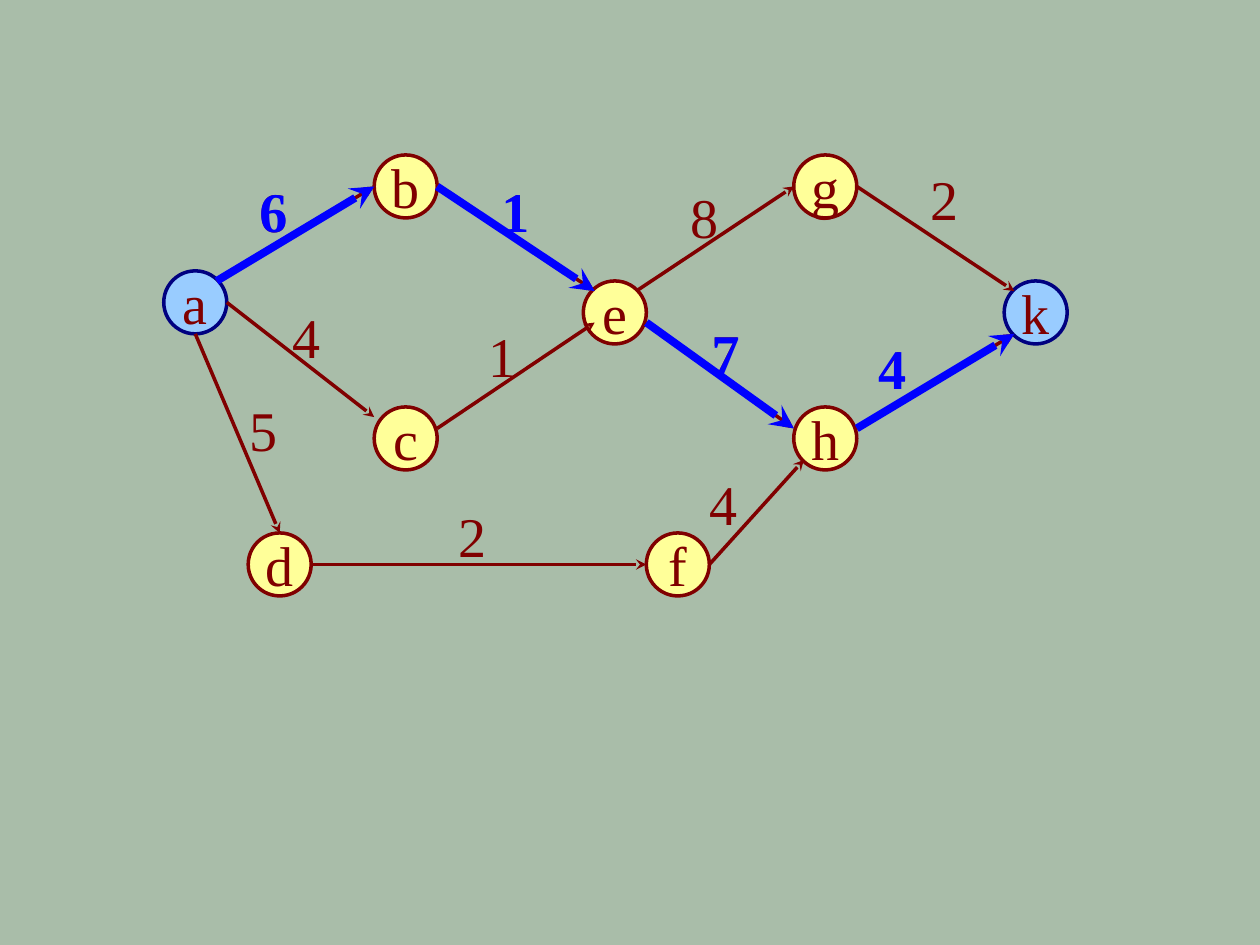
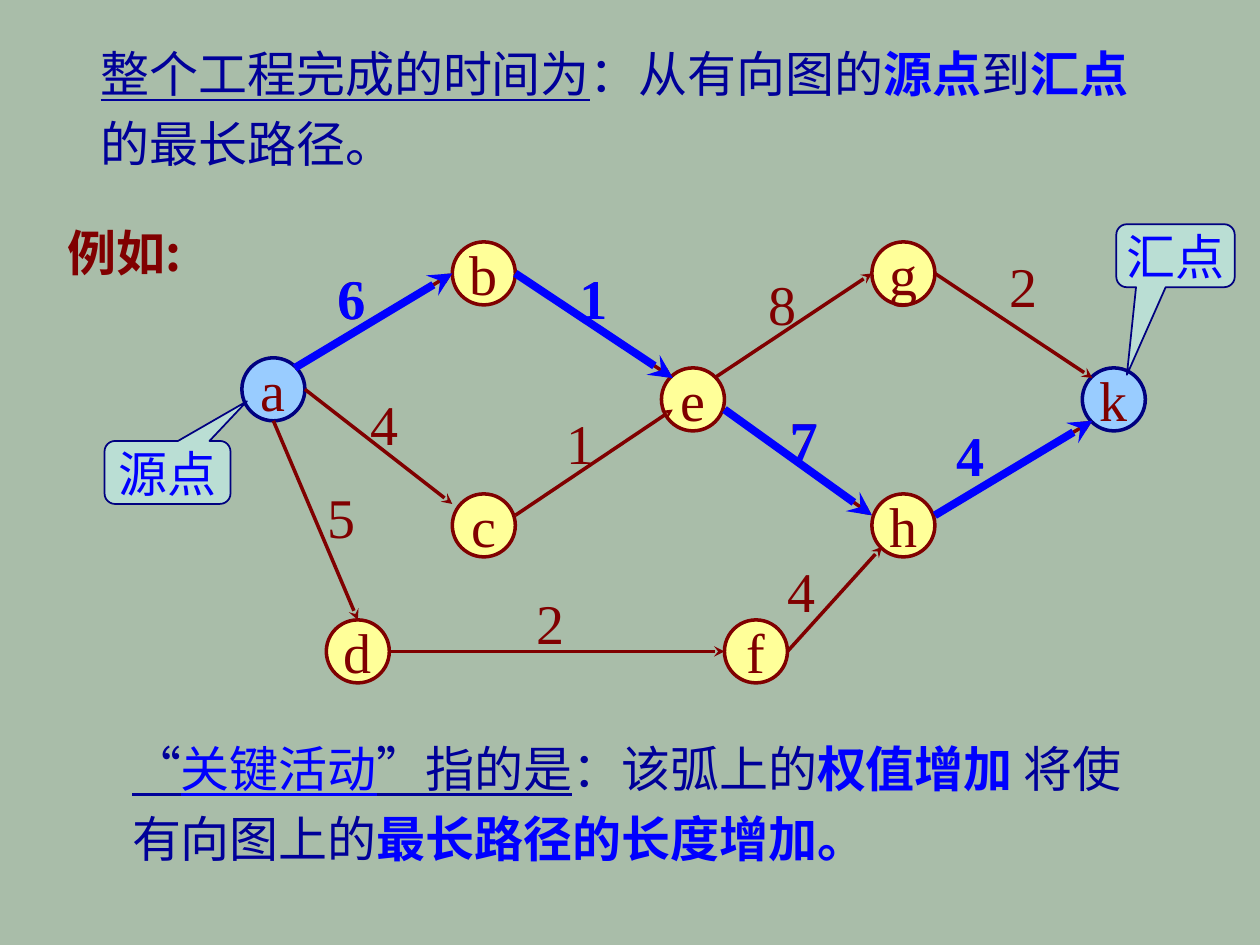
"""Build two slides about the critical path of an activity network."""
from typing import NamedTuple

from lxml import etree
from pptx import Presentation
from pptx.dml.color import RGBColor
from pptx.enum.shapes import MSO_CONNECTOR, MSO_SHAPE
from pptx.enum.text import MSO_ANCHOR, PP_ALIGN
from pptx.oxml.ns import qn
from pptx.util import Emu, Pt

PX = 9144
OVAL = MSO_SHAPE.OVAL
CALLOUT = MSO_SHAPE.ROUNDED_RECTANGULAR_CALLOUT
STRAIGHT = MSO_CONNECTOR.STRAIGHT
CENTER = PP_ALIGN.CENTER
MIDDLE, TOP = MSO_ANCHOR.MIDDLE, MSO_ANCHOR.TOP

COLORS = {
    "background": "A9BDA9",
    "maroon": "800000",
    "navy": "000080",
    "ink": "000099",
    "blue": "0000FF",
    "yellow": "FFFF99",
    "sky": "99CCFF",
    "callout": "CCFFFF",
}
SERIF = "Times New Roman"
CJK = "Noto Sans CJK SC"

NODE_SIZE = 50
NODES = {
    "a": (130, 215), "b": (297, 123), "c": (297, 323),
    "d": (197, 423), "e": (463, 223), "f": (513, 423),
    "g": (630, 123), "h": (630, 323), "k": (797, 223),
}
TERMINALS = "ak"


class Activity(NamedTuple):
    """Arrow ends, weight and label corner of one activity."""
    start: tuple
    end: tuple
    weight: str
    label: tuple
    critical: bool = False


ACTIVITIES = [
    Activity((172, 223), (297, 148), "6", (196, 135), True),
    Activity((180, 240), (297, 331), "4", (222, 235)),
    Activity((347, 340), (472, 256), "1", (378, 250)),
    Activity((347, 148), (472, 231), "1", (388, 135), True),
    Activity((505, 231), (630, 148), "8", (538, 140)),
    Activity((680, 148), (805, 231), "2", (729, 126)),
    Activity((680, 340), (805, 265), "4", (687, 260), True),
    Activity((513, 256), (630, 340), "7", (555, 248), True),
    Activity((155, 265), (222, 423), "5", (188, 309)),
    Activity((247, 448), (513, 448), "2", (354, 393)),
    Activity((563, 448), (638, 365), "4", (553, 368)),
]


def px(value):
    """Turn a length in px into EMU."""
    return Emu(value * PX)


def rgb(name):
    """Look up a named colour."""
    return RGBColor.from_string(COLORS[name])


def add_run(paragraph, text, size, color, bold=False, underline=False, font=SERIF):
    """Append one formatted run."""
    run = paragraph.add_run()
    run.text = text
    run.font.size = Pt(size)
    run.font.bold = bold
    run.font.underline = underline
    run.font.color.rgb = rgb(color)
    run.font.name = font
    latin = run.font._element.find(qn("a:latin"))
    east_asian = etree.Element(qn("a:ea"), typeface=CJK)
    latin.addnext(east_asian)


def add_text(slide, box, runs, size, wrap=False, line_spacing=None):
    """Add a text box whose runs are (text, colour, bold, underline, font)."""
    shape = slide.shapes.add_textbox(*map(px, box))
    frame = shape.text_frame
    frame.word_wrap = wrap
    frame.vertical_anchor = TOP
    paragraph = frame.paragraphs[0]
    if line_spacing:
        paragraph.line_spacing = Pt(line_spacing)
    for text, *style in runs:
        add_run(paragraph, text, size, *style)


def add_labelled_shape(slide, kind, box, text, size, fill, line, width, color):
    """Add a filled and outlined shape with a centred label."""
    shape = slide.shapes.add_shape(kind, *map(px, box))
    shape.shadow.inherit = False
    shape.fill.solid()
    shape.fill.fore_color.rgb = rgb(fill)
    shape.line.color.rgb = rgb(line)
    shape.line.width = Pt(width)
    frame = shape.text_frame
    frame.word_wrap = False
    frame.vertical_anchor = MIDDLE
    paragraph = frame.paragraphs[0]
    paragraph.alignment = CENTER
    add_run(paragraph, text, size, color)
    return shape


def add_callout(slide, box, text, pointer):
    """Add a half-transparent callout pointing at a node."""
    shape = add_labelled_shape(slide, CALLOUT, box, text, 28,
                               "callout", "navy", 1, "blue")
    for index, value in enumerate((*pointer, 0.167)):
        shape.adjustments[index] = value
    fill_color = shape._element.spPr.find(qn("a:solidFill"))[0]
    etree.SubElement(fill_color, qn("a:alpha"), val="50000")


def add_arrow(slide, start, end, color, width):
    """Add a straight arrow with a stealth head."""
    connector = slide.shapes.add_connector(STRAIGHT, *map(px, (*start, *end)))
    connector.line.color.rgb = rgb(color)
    connector.line.width = Pt(width)
    etree.SubElement(connector.line._get_or_add_ln(), qn("a:tailEnd"), type="stealth")
    etree.SubElement(connector._element.spPr, qn("a:effectLst"))


def add_activities(slide, activities, shift, color, width, bold):
    """Draw arrows and then their weights."""
    def moved(point):
        return tuple(a + b for a, b in zip(point, shift))

    for activity in activities:
        add_arrow(slide, moved(activity.start), moved(activity.end), color, width)
    for activity in activities:
        add_text(slide, (*moved(activity.label), 42, 63),
                 [(activity.weight, color, bold)], 32)


def add_network(slide, shift=(0, 0)):
    """Draw the nodes, all activities and the critical path on top."""
    for name, (left, top) in NODES.items():
        fill, line = ("sky", "navy") if name in TERMINALS else ("yellow", "maroon")
        box = (left + shift[0], top + shift[1], NODE_SIZE, NODE_SIZE)
        add_labelled_shape(slide, OVAL, box, name, 32, fill, line, 2, "maroon")
    add_activities(slide, ACTIVITIES, shift, "maroon", 2, False)
    critical = [activity for activity in ACTIVITIES if activity.critical]
    add_activities(slide, critical, shift, "blue", 4.5, True)


def add_explanation(slide):
    """Add the definitions and callouts around the network."""
    add_text(slide, (44, 170, 118, 57),
             [("例如:", "maroon", True, False, CJK)], 28, line_spacing=35)
    add_text(slide, (95, 572, 810, 117), [
        ("“", "ink", False, True),
        ("关键活动", "blue", False, True),
        ("”指的是", "ink", False, True),
        ("：该弧上的", "ink"),
        ("权值增加 ", "blue", True),
        ("将使有向图上的", "ink"),
        ("最长路径的长度增加。", "blue", True),
    ], 28, wrap=True, line_spacing=40)
    add_text(slide, (70, 21, 847, 122), [
        ("整个工程完成的时间为", "ink", False, True),
        ("：从有向图的", "ink"),
        ("源点", "blue", True),
        ("到", "ink"),
        ("汇点", "blue", True),
        ("的最长路径。", "ink"),
    ], 28, wrap=True, line_spacing=40)
    add_callout(slide, (83, 350, 100, 50), "源点", (0.63, -1.13))
    add_callout(slide, (886, 178, 94, 50), "汇点", (-0.41, 1.89))


def main():
    """Create the presentation and save it."""
    presentation = Presentation()
    presentation.slide_width = px(1000)
    presentation.slide_height = px(750)
    background = presentation.slide_master.background.fill
    background.solid()
    background.fore_color.rgb = rgb("background")
    blank = presentation.slide_layouts[6]

    add_network(presentation.slides.add_slide(blank))

    definition_slide = presentation.slides.add_slide(blank)
    add_network(definition_slide, (62, 69))
    add_explanation(definition_slide)

    presentation.save("out.pptx")


if __name__ == "__main__":
    main()
